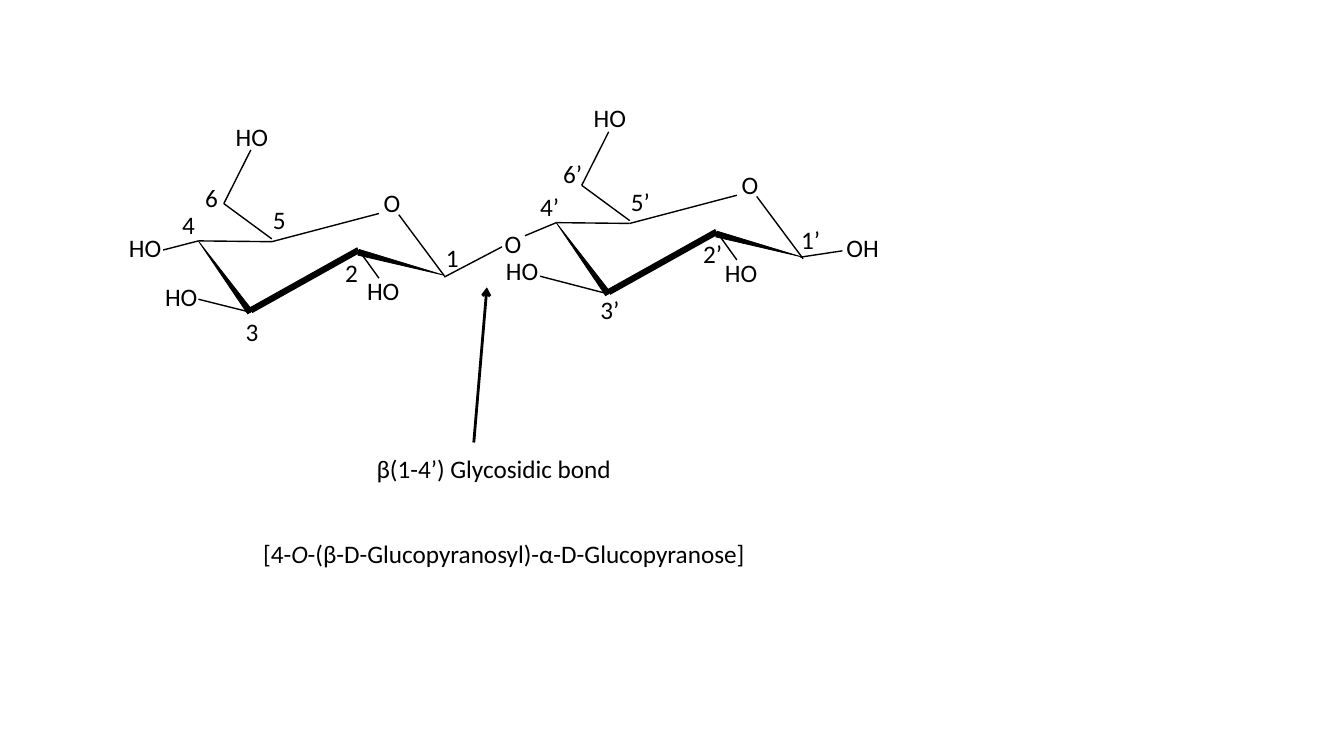
import pptx
import pptx.dml.color
import pptx.enum.shapes
import pptx.enum.text
import pptx.oxml.ns
import pptx.util
from lxml import etree
from pptx.util import Cm

BLACK = pptx.dml.color.RGBColor(0, 0, 0)
FONT_NAME = "Calibri"
TEXT_HEIGHT = 1.02
NUMBER_WIDTH = 1.17
OXYGEN_WIDTH = 1.52
HYDROXYL_WIDTH = 1.7

RING_BONDS = [
    ((1.85, 0.02), (4.55, -0.69), 1),
    ((5.05, -0.66), (6.22, 0.91), 1),
    ((4.04, 0.23), (1.32, 1.75), 4.5),
    ((0, 0), (1.85, 0.02), 1),
    ((4.04, 0.23), (4.55, 0.94), 1),
    ((1.85, -0.05), (0.64, -0.94), 1),
    ((0.64, -0.94), (1.32, -2.29), 1),
]
RING_WEDGES = [((5.03, -0.53), 105), ((0.58, -0.2), 324)]
RING_GROUPS = [
    ("O", (4.42, -1.47), OXYGEN_WIDTH),
    ("HO", (4, 0.74), HYDROXYL_WIDTH),
    ("HO", (0.69, -3.15), HYDROXYL_WIDTH),
]
CARBON_NUMBERS = {
    1: (5.99, -0.08),
    2: (3.45, 0.28),
    3: (0.94, 1.78),
    4: (-0.66, -0.91),
    5: (1.63, -1.04),
    6: (-0.08, -1.6),
}


def move(origin, offset):
    return origin[0] + offset[0], origin[1] + offset[1]


def add_bond(slide, start, end, weight=1):
    bond = slide.shapes.add_connector(
        pptx.enum.shapes.MSO_CONNECTOR.STRAIGHT,
        Cm(start[0]), Cm(start[1]), Cm(end[0]), Cm(end[1]),
    )
    bond.line.color.rgb = BLACK
    bond.line.width = pptx.util.Pt(weight)
    etree.SubElement(bond._element.spPr, pptx.oxml.ns.qn("a:effectLst"))
    return bond


def add_arrow(slide, start, end):
    arrow = add_bond(slide, start, end, 2)
    line = arrow.line._get_or_add_ln()
    etree.SubElement(line, pptx.oxml.ns.qn("a:tailEnd"), type="arrow")


def add_wedge(slide, corner, rotation):
    wedge = slide.shapes.add_shape(
        pptx.enum.shapes.MSO_SHAPE.ISOSCELES_TRIANGLE,
        Cm(corner[0]), Cm(corner[1]), Cm(0.15), Cm(2.21),
    )
    wedge.rotation = rotation
    wedge.shadow.inherit = False
    wedge.fill.solid()
    wedge.fill.fore_color.rgb = BLACK
    wedge.line.color.rgb = BLACK
    wedge.line.width = pptx.util.Pt(0.5)


def add_label(slide, text, corner, width):
    label = slide.shapes.add_textbox(
        Cm(corner[0]), Cm(corner[1]), Cm(width), Cm(TEXT_HEIGHT)
    )
    label.text_frame.word_wrap = True
    label.text_frame.auto_size = pptx.enum.text.MSO_AUTO_SIZE.SHAPE_TO_FIT_TEXT
    paragraph = label.text_frame.paragraphs[0]
    paragraph.font.name = FONT_NAME
    paragraph.font.size = pptx.util.Pt(18)
    paragraph.font.color.rgb = BLACK
    paragraph.add_run().text = text
    return paragraph


def add_glucose_ring(slide, origin, prime, hydroxyl_end, hydroxyl_corner, shifts):
    bonds = RING_BONDS + [((1.32, 1.8), hydroxyl_end, 1)]
    for start, end, weight in bonds:
        add_bond(slide, move(origin, start), move(origin, end), weight)
    for corner, rotation in RING_WEDGES:
        add_wedge(slide, move(origin, corner), rotation)
    groups = RING_GROUPS + [("HO", hydroxyl_corner, HYDROXYL_WIDTH)]
    for text, corner, width in groups:
        add_label(slide, text, move(origin, corner), width)
    for number, corner in CARBON_NUMBERS.items():
        shifted = move(corner, shifts.get(number, (0, 0)))
        add_label(slide, f"{number}{prime}", move(origin, shifted), NUMBER_WIDTH)


def add_name(slide):
    paragraph = add_label(slide, "[4-", (6.38, 13.44), 13.79)
    oxygen = paragraph.add_run()
    oxygen.text = "O"
    oxygen.font.italic = True
    paragraph.add_run().text = "-(β-D-Glucopyranosyl)-α-D-Glucopyranose]"


def main():
    presentation = pptx.Presentation()
    presentation.slide_width = Cm(33.87)
    presentation.slide_height = Cm(19.05)
    slide = presentation.slides.add_slide(presentation.slide_layouts[6])

    add_glucose_ring(slide, (5, 6.07), "", (0, 1.47), (-1.09, 0.89), {})
    add_glucose_ring(
        slide, (14.02, 5.61), "’", (-0.41, 1.35), (-1.52, 0.69),
        {1: (-0.07, 0), 3: (-0.08, -0.1), 6: (0, -0.15)},
    )

    add_bond(slide, (5, 6.07), (4.11, 6.3))
    add_label(slide, "HO", (3, 5.74), HYDROXYL_WIDTH)
    add_bond(slide, (12.65, 6.22), (11.2, 6.98))
    add_label(slide, "O", (12.47, 5.64), OXYGEN_WIDTH)
    add_bond(slide, (14.02, 5.61), (13.23, 5.94))
    add_bond(slide, (20.17, 6.48), (21.23, 6.32))
    add_label(slide, "OH", (21.08, 5.74), HYDROXYL_WIDTH)

    add_arrow(slide, (11.94, 11.15), (12.27, 7.24))
    caption = add_label(slide, "β(1-4’) Glycosidic bond", (9.04, 11.3), 6.81)
    caption.alignment = pptx.enum.text.PP_ALIGN.CENTER
    add_name(slide)
    presentation.save("out.pptx")


if __name__ == "__main__":
    main()
